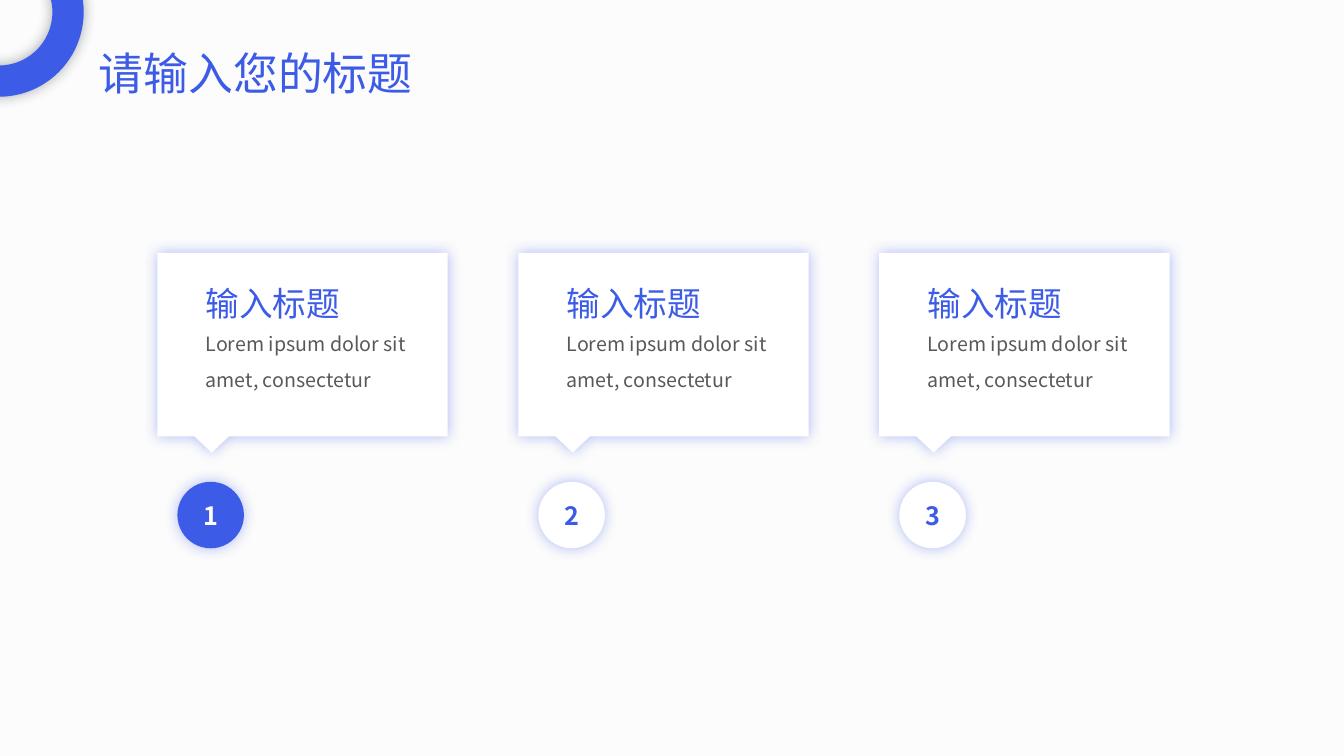
import pptx
import pptx.dml.color
import pptx.enum.shapes
import pptx.enum.text
import pptx.oxml.ns
import pptx.util
from dataclasses import dataclass
from lxml import etree

Inches, Pt = pptx.util.Inches, pptx.util.Pt
RGB = pptx.dml.color.RGBColor.from_string
SHAPE = pptx.enum.shapes.MSO_SHAPE
ANCHOR = pptx.enum.text.MSO_ANCHOR
ALIGN = pptx.enum.text.PP_ALIGN
qn = pptx.oxml.ns.qn


@dataclass(frozen=True)
class Theme:
    font: str = "Noto Sans CJK SC"
    blue: str = "3C5CE8"
    white: str = "FFFFFF"
    grey: str = "595959"
    dark: str = "222A35"
    background: str = "FCFCFC"
    title: int = 32
    heading: int = 24
    number: int = 18
    body: int = 14


T = Theme()
CARDS = [
    ("1", "输入标题", "Lorem ipsum dolor sit amet, consectetur"),
    ("2", "输入标题", "Lorem ipsum dolor sit amet, consectetur"),
    ("3", "输入标题", "Lorem ipsum dolor sit amet, consectetur"),
]


def paint(sp, color, glow):
    """Fill a shape, drop its outline and give it a soft, centred shadow."""
    sp.fill.solid()
    sp.fill.fore_color.rgb = RGB(color)
    sp.line.fill.background()
    sp.shadow.inherit = False
    effects = sp._element.spPr.find(qn("a:effectLst"))
    shadow = etree.SubElement(effects, qn("a:outerShdw"), blurRad=str(Pt(10)),
                              dist="0", dir="0", algn="ctr", rotWithShape="0")
    clr = etree.SubElement(shadow, qn("a:srgbClr"), val=glow)
    etree.SubElement(clr, qn("a:alpha"), val="40000")


def write(tf, text, size, color, anchor, align=ALIGN.LEFT, bold=False):
    """Put one formatted paragraph in a text frame and return it."""
    tf.word_wrap = True
    tf.auto_size = pptx.enum.text.MSO_AUTO_SIZE.NONE
    tf.vertical_anchor = anchor
    p = tf.paragraphs[0]
    p.text = text
    p.alignment = align
    p.font.size = Pt(size)
    p.font.bold = bold
    p.font.color.rgb = RGB(color)
    p.font.name = T.font
    etree.SubElement(p._p.pPr.find(qn("a:defRPr")), qn("a:ea"), typeface=T.font)
    return p


def add_text(s, x, y, w, h, *args):
    """Add a text box with the wide margins used on the cards."""
    tf = s.shapes.add_textbox(Inches(x), Inches(y), Inches(w), Inches(h)).text_frame
    tf.margin_left = tf.margin_right = Inches(0.27)
    tf.margin_top = tf.margin_bottom = Inches(0.13)
    return write(tf, *args)


def add_header(s, x, y, w, h, text):
    # Title
    title = s.shapes.title
    title.left, title.top, title.width, title.height = map(Inches, (x, y, w, h))
    write(title.text_frame, text, T.title, T.blue, ANCHOR.TOP)

    # Corner ring
    size = 1.68
    ring = s.shapes.add_shape(SHAPE.DONUT, Inches(x - 1.73), Inches(y - 1.12),
                              Inches(size), Inches(size))
    ring.adjustments[0] = 0.31 / size
    paint(ring, T.blue, T.dark)


def add_card(s, x, y, w, h, number, heading, body, active):
    # Numbered circle
    circle = s.shapes.add_shape(SHAPE.OVAL, Inches(x + 0.2), Inches(y + h + 0.45),
                                Inches(0.66), Inches(0.66))
    fill, ink = (T.blue, T.white) if active else (T.white, T.blue)
    paint(circle, fill, T.blue)
    write(circle.text_frame, number, T.number, ink, ANCHOR.MIDDLE, ALIGN.CENTER, True)

    # Panel with a pointer on its lower edge
    tip, half, drop = x + 0.54, 0.17, 0.16
    outline = [(x + w, y), (x + w, y + h), (tip + half, y + h), (tip, y + h + drop),
               (tip - half, y + h), (x, y + h)]
    fb = s.shapes.build_freeform(Inches(x), Inches(y))
    fb.add_line_segments([(Inches(a), Inches(b)) for a, b in outline], close=True)
    paint(fb.convert_to_shape(), T.white, T.blue)

    # Heading and body
    add_text(s, x + 0.21, y + 0.16, 2.69, 0.67, heading, T.heading, T.blue, ANCHOR.MIDDLE)
    p = add_text(s, x + 0.21, y + 0.54, 2.83, 1.08, body, T.body, T.grey, ANCHOR.TOP)
    p.line_spacing = 1.5
    p.space_before = Pt(0.2 * T.body)


def add_cards(s, x, y, w, h, cards):
    gap = 0.7
    for i, card in enumerate(cards):
        add_card(s, x + i * (w + gap), y, w, h, *card, active=i == 0)


def main():
    prs = pptx.Presentation()
    prs.slide_width, prs.slide_height = Inches(13.33), Inches(7.5)
    s = prs.slides.add_slide(prs.slide_layouts[5])
    s.background.fill.solid()
    s.background.fill.fore_color.rgb = RGB(T.background)
    add_cards(s, 1.56, 2.51, 2.88, 1.82, CARDS)
    add_header(s, 0.88, 0.4, 4.62, 0.64, "请输入您的标题")
    prs.save("out.pptx")


if __name__ == "__main__":
    main()
